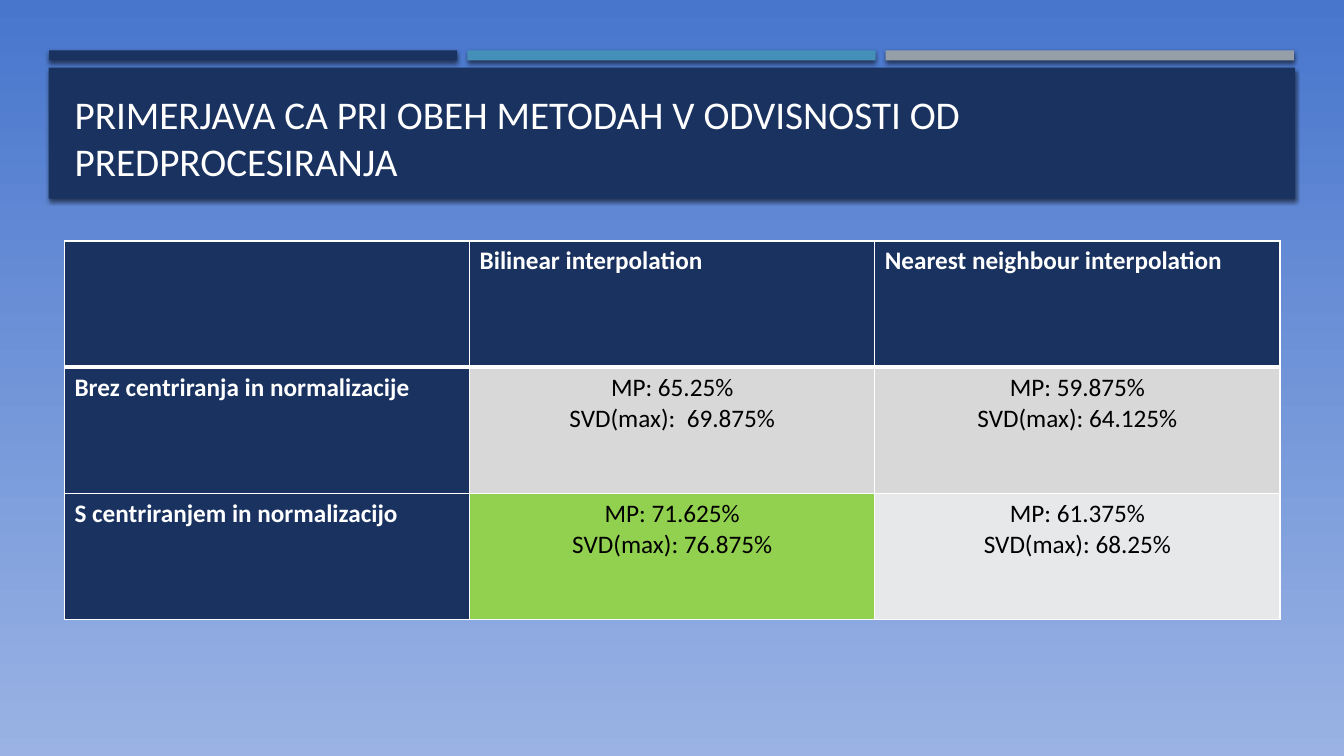
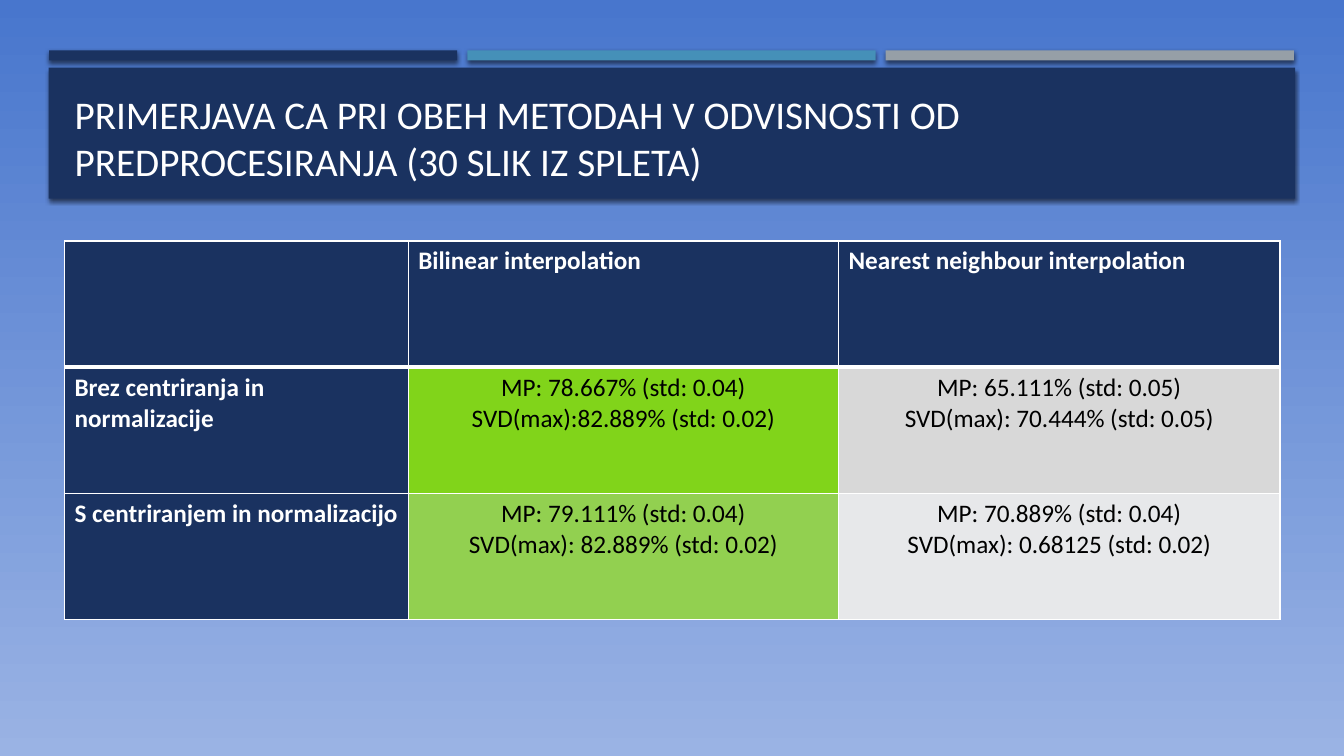
from lxml import etree
from pptx import Presentation
from pptx.dml.color import RGBColor
from pptx.enum.shapes import MSO_SHAPE
from pptx.enum.text import MSO_ANCHOR, MSO_AUTO_SIZE, PP_ALIGN
from pptx.oxml.ns import qn
from pptx.util import Pt

RECT = MSO_SHAPE.RECTANGLE
LEFT, CENTER = PP_ALIGN.LEFT, PP_ALIGN.CENTER
BOTTOM = MSO_ANCHOR.BOTTOM
NO_AUTOFIT = MSO_AUTO_SIZE.NONE

COLORS = {
    "sky_top": "4876CD", "sky_bottom": "9AB3E4",
    "navy": "1A3260", "teal": "4590B8", "steel": "969FA7",
    "white": "FFFFFF", "black": "000000",
    "gray": "D8D8D8", "pale": "E7E8EA",
    "green": "92D050", "lime": "81D41A",
}
FONT = "Calibri"
CONTENT_LEFT, CONTENT_WIDTH = 46.1, 868.3
THIN, THICK = 0.96, 3

COLUMN_HEADS = ["", "Bilinear interpolation", "Nearest neighbour interpolation"]
ROW_HEADS = ["Brez centriranja in normalizacije", "S centriranjem in normalizacijo"]
TITLE = "PRIMERJAVA CA PRI OBEH METODAH V ODVISNOSTI OD PREDPROCESIRANJA"

# Each result is (text, fill), by row and then by interpolation
SLIDES = [
    (TITLE, [289.4, 289.4, 289.5], [
        [("MP: 65.25%\nSVD(max):  69.875%", "gray"),
         ("MP: 59.875%\nSVD(max): 64.125%", "gray")],
        [("MP: 71.625%\nSVD(max): 76.875%", "green"),
         ("MP: 61.375%\nSVD(max): 68.25%", "pale")],
    ]),
    (TITLE + " (30 SLIK IZ SPLETA)", [245.5, 307.4, 315.4], [
        [("MP: 78.667% (std: 0.04)\nSVD(max):82.889% (std: 0.02)", "lime"),
         ("MP: 65.111% (std: 0.05)\nSVD(max): 70.444% (std: 0.05)", "gray")],
        [("MP: 79.111% (std: 0.04)\nSVD(max): 82.889% (std: 0.02)", "green"),
         ("MP: 70.889% (std: 0.04)\nSVD(max): 0.68125 (std: 0.02)", "pale")],
    ]),
]


def rgb(name):
    return RGBColor.from_string(COLORS[name])


def add_solid_color(parent, name):
    """Append a srgbClr element and return it."""
    return etree.SubElement(parent, qn("a:srgbClr"), val=COLORS[name])


class Deck:
    def __init__(self):
        self.prs = Presentation()
        self.prs.slide_width, self.prs.slide_height = Pt(960), Pt(540)
        self.s = None
        fill = self.prs.slide_master.background.fill
        fill.gradient()
        fill.gradient_angle = 270
        for stop, name in zip(fill.gradient_stops, ("sky_top", "sky_bottom")):
            stop.color.rgb = rgb(name)

    def new_slide(self, title):
        self.s = self.prs.slides.add_slide(self.prs.slide_layouts[5])
        for i, color in enumerate(("navy", "teal", "steel")):
            self.band(35 + i * 298.8, 36, 291.6, 7.2, color)
        self.band(34.8, 48.3, 890.4, 93.6, "navy")
        self.title(title)

    def band(self, x, y, w, h, color):
        sp = self.s.shapes.add_shape(RECT, Pt(x), Pt(y), Pt(w), Pt(h))
        sp.fill.solid()
        sp.fill.fore_color.rgb = rgb(color)
        sp.line.fill.background()
        sp.shadow.inherit = False
        effects = sp.element.spPr.find(qn("a:effectLst"))
        shadow = etree.SubElement(
            effects, qn("a:outerShdw"), blurRad=str(Pt(3)), dist=str(Pt(2)),
            dir="5400000", algn="t", rotWithShape="0")
        etree.SubElement(add_solid_color(shadow, "black"), qn("a:alpha"), val="55000")

    def title(self, text):
        sp = self.s.shapes.title
        sp.left, sp.top = Pt(CONTENT_LEFT), Pt(55.4)
        sp.width, sp.height = Pt(CONTENT_WIDTH), Pt(79.9)
        sp.element.getparent().append(sp.element)  # in front of the bands
        tf = sp.text_frame
        tf.auto_size = NO_AUTOFIT
        tf.word_wrap = True
        tf.vertical_anchor = BOTTOM
        self.set_text(tf, text, 28, "white", LEFT)

    def set_text(self, tf, text, size, color, align, bold=False):
        tf.text = text
        for p in tf.paragraphs:
            p.alignment = align
            for r in p.runs:
                r.font.name, r.font.size, r.font.bold = FONT, Pt(size), bold
                r.font.color.rgb = rgb(color)

    def table(self, widths, results):
        rows = [[(text, "navy") for text in COLUMN_HEADS]]
        rows += [[(head, "navy")] + row for head, row in zip(ROW_HEADS, results)]
        row_height = 90.24
        table = self.s.shapes.add_table(
            len(rows), len(widths), Pt(CONTENT_LEFT), Pt(172.1),
            Pt(CONTENT_WIDTH), Pt(row_height * len(rows))).table
        table.horz_banding = False
        for column, width in zip(table.columns, widths):
            column.width = Pt(width)
        for i, row in enumerate(rows):
            table.rows[i].height = Pt(row_height)
            for j, (text, fill) in enumerate(row):
                self.cell(table.cell(i, j), text, fill, i, is_head=i == 0 or j == 0)

    def cell(self, cell, text, fill, row, is_head):
        self.borders(cell, top=THICK if row == 1 else THIN,
                     bottom=THICK if row == 0 else THIN)
        cell.fill.solid()
        cell.fill.fore_color.rgb = rgb(fill)
        color, align = ("white", LEFT) if is_head else ("black", CENTER)
        self.set_text(cell.text_frame, text, 18, color, align, bold=is_head)

    def borders(self, cell, top, bottom):
        tc_pr = cell._tc.get_or_add_tcPr()
        for side, width in (("L", THIN), ("R", THIN), ("T", top), ("B", bottom)):
            ln = etree.SubElement(tc_pr, qn("a:ln" + side), w=str(Pt(width)))
            add_solid_color(etree.SubElement(ln, qn("a:solidFill")), "white")


def main():
    deck = Deck()
    for title, widths, results in SLIDES:
        deck.new_slide(title)
        deck.table(widths, results)
    deck.prs.save("out.pptx")


if __name__ == "__main__":
    main()
